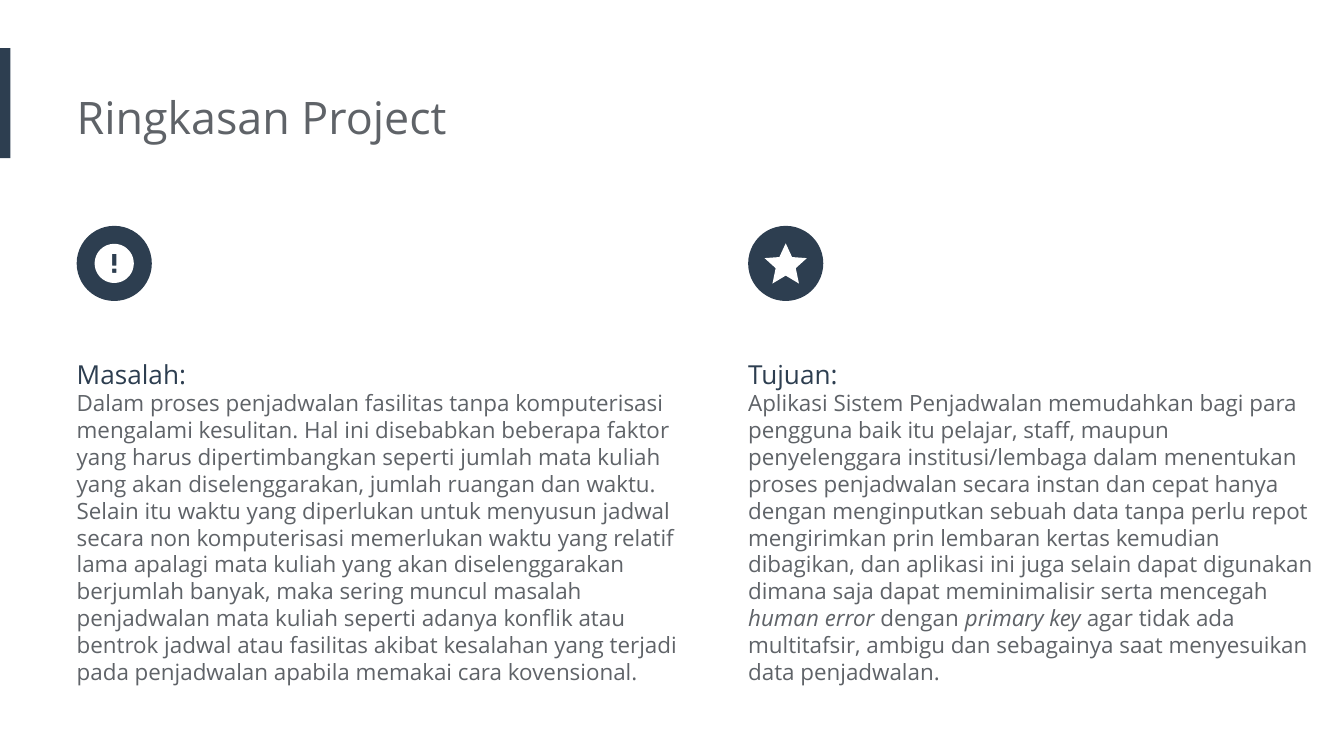
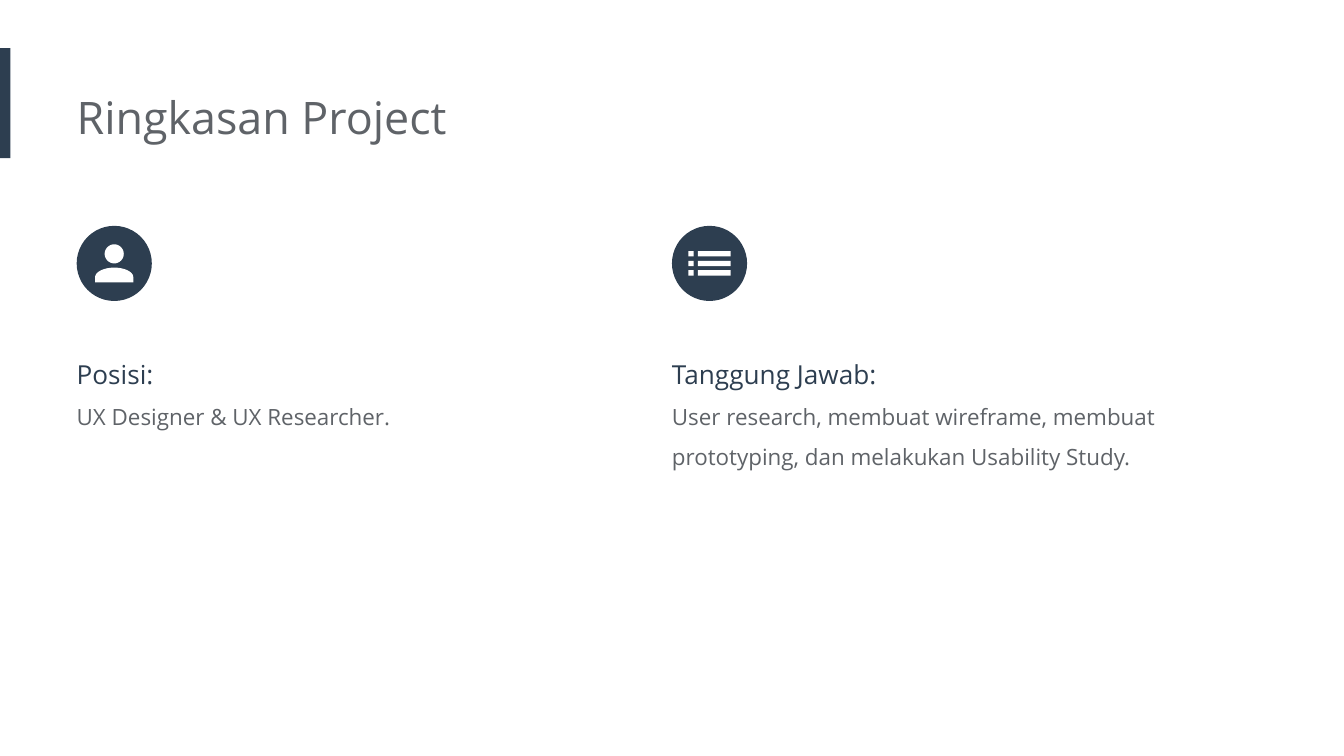
import math
from dataclasses import dataclass

from pptx import Presentation
from pptx import util as u
from pptx.dml.color import RGBColor
from pptx.enum import shapes, text

Cm = u.Cm


@dataclass(frozen=True)
class Theme:
    navy: RGBColor = RGBColor(0x2D, 0x3E, 0x50)
    grey: RGBColor = RGBColor(0x5F, 0x63, 0x68)
    white: RGBColor = RGBColor(0xFF, 0xFF, 0xFF)
    font: str = "Open Sans"
    title: int = 24
    heading: int = 14
    body: int = 12


T = Theme()

TITLE = "Ringkasan Project"
SLIDES = [
    {
        "spacing": 1.0,
        "columns": [
            {
                "icon": "alert", "left": 1.45, "width": 11.99, "height": 7.06,
                "heading": "Masalah:",
                "body": "Dalam proses penjadwalan fasilitas tanpa komputerisasi mengalami kesulitan. "
                        "Hal ini disebabkan beberapa faktor yang harus dipertimbangkan seperti jumlah "
                        "mata kuliah yang akan diselenggarakan, jumlah ruangan dan waktu. Selain itu "
                        "waktu yang diperlukan untuk menyusun jadwal secara non komputerisasi "
                        "memerlukan waktu yang relatif lama apalagi mata kuliah yang akan "
                        "diselenggarakan berjumlah banyak, maka sering muncul masalah penjadwalan "
                        "mata kuliah seperti adanya konflik atau bentrok jadwal atau fasilitas akibat "
                        "kesalahan yang terjadi pada penjadwalan apabila memakai cara kovensional.",
            },
            {
                "icon": "star", "left": 14.14, "width": 11.23, "height": 7.06,
                "heading": "Tujuan:",
                "body": "Aplikasi Sistem Penjadwalan memudahkan bagi para pengguna baik itu pelajar, "
                        "staff, maupun penyelenggara institusi/lembaga dalam menentukan proses "
                        "penjadwalan secara instan dan cepat hanya dengan menginputkan sebuah data "
                        "tanpa perlu repot mengirimkan prin lembaran kertas kemudian dibagikan, dan "
                        "aplikasi ini juga selain dapat digunakan dimana saja dapat meminimalisir "
                        "serta mencegah *human error* dengan *primary key* agar tidak ada "
                        "multitafsir, ambigu dan sebagainya saat menyesuikan data penjadwalan.",
            },
        ],
    },
    {
        "spacing": 1.5,
        "columns": [
            {
                "icon": "person", "left": 1.45, "width": 9.58, "height": 2.18,
                "heading": "Posisi:",
                "body": "UX Designer & UX Researcher.",
            },
            {
                "icon": "list", "left": 12.7, "width": 9.58, "height": 2.95,
                "heading": "Tanggung Jawab:",
                "body": "User research, membuat wireframe, membuat prototyping, "
                        "dan melakukan Usability Study.",
            },
        ],
    },
]

MARGIN = 1.45
BADGE_TOP, BADGE_SIZE = 4.27, 1.42
TEXT_TOP = 6.22


def box(left, top, right, bottom):
    return [(left, top), (right, top), (right, bottom), (left, bottom)]


def arc(cx, cy, rx, ry, start=0, end=360, step=6):
    angles = [math.radians(a) for a in range(start, end + 1, step)]
    return [(cx + rx * math.cos(a), cy + ry * math.sin(a)) for a in angles]


STAR_HALF = [(0, -0.38), (0.12, -0.12), (0.4, -0.1), (0.19, 0.09), (0.25, 0.38), (0, 0.23)]
ICONS = {
    "alert": [arc(0, 0, 0.37, 0.37), box(-0.04, -0.18, 0.04, 0.04), box(-0.04, 0.1, 0.04, 0.18)],
    "star": [STAR_HALF + [(-x, y) for x, y in STAR_HALF[-2:0:-1]]],
    "person": [arc(0, -0.18, 0.18, 0.18),
               arc(0, 0.26, 0.36, 0.18, 180, 360) + [(0.36, 0.36), (-0.36, 0.36)]],
    "list": [box(left, y - 0.05, right, y + 0.05)
             for y in (-0.18, 0, 0.18) for left, right in ((-0.4, -0.3), (-0.22, 0.4))],
}


def paint(sp, color):
    sp.shadow.inherit = False
    sp.fill.solid()
    sp.fill.fore_color.rgb = color
    sp.line.fill.background()


def add_solid(s, kind, left, top, width, height):
    sp = s.shapes.add_shape(kind, Cm(left), Cm(top), Cm(width), Cm(height))
    paint(sp, T.navy)


def add_text(s, left, top, width, height, lines):
    tf = s.shapes.add_textbox(Cm(left), Cm(top), Cm(width), Cm(height)).text_frame
    tf.word_wrap = True
    tf.auto_size = text.MSO_AUTO_SIZE.SHAPE_TO_FIT_TEXT
    tf.margin_left = 0
    tf.margin_top = tf.margin_right = tf.margin_bottom = Cm(0.25)
    for i, (words, size, color, spacing) in enumerate(lines):
        p = tf.add_paragraph() if i else tf.paragraphs[0]
        p.line_spacing = spacing
        for j, part in enumerate(words.split("*")):
            r = p.add_run()
            r.text = part
            r.font.name = T.font
            r.font.size = u.Pt(size)
            r.font.color.rgb = color
            r.font.italic = j % 2 == 1


def add_badge(s, icon, left):
    add_solid(s, shapes.MSO_SHAPE.OVAL, left, BADGE_TOP, BADGE_SIZE, BADGE_SIZE)
    cx, cy = left + BADGE_SIZE / 2, BADGE_TOP + BADGE_SIZE / 2
    contours = [[(Cm(cx + x), Cm(cy + y)) for x, y in c] for c in ICONS[icon]]
    fb = s.shapes.build_freeform(*contours[0][0])
    for i, points in enumerate(contours):
        if i:
            fb.move_to(*points[0])
        fb.add_line_segments(points[1:], close=True)
    paint(fb.convert_to_shape(), T.white)


def add_slide(prs, content):
    s = prs.slides.add_slide(prs.slide_layouts[6])
    add_solid(s, shapes.MSO_SHAPE.RECTANGLE, 0, 0.91, 0.2, 2.08)
    add_text(s, MARGIN, 1.45, 17.09, 1.55, [(TITLE, T.title, T.grey, 1.0)])
    for col in content["columns"]:
        add_text(s, col["left"], TEXT_TOP, col["width"], col["height"], [
            (col["heading"], T.heading, T.navy, 1.5),
            (col["body"], T.body, T.grey, content["spacing"]),
        ])
        add_badge(s, col["icon"], col["left"])


def main():
    prs = Presentation()
    prs.slide_width, prs.slide_height = Cm(25.4), Cm(14.29)
    for content in SLIDES:
        add_slide(prs, content)
    prs.save("out.pptx")


if __name__ == "__main__":
    main()
